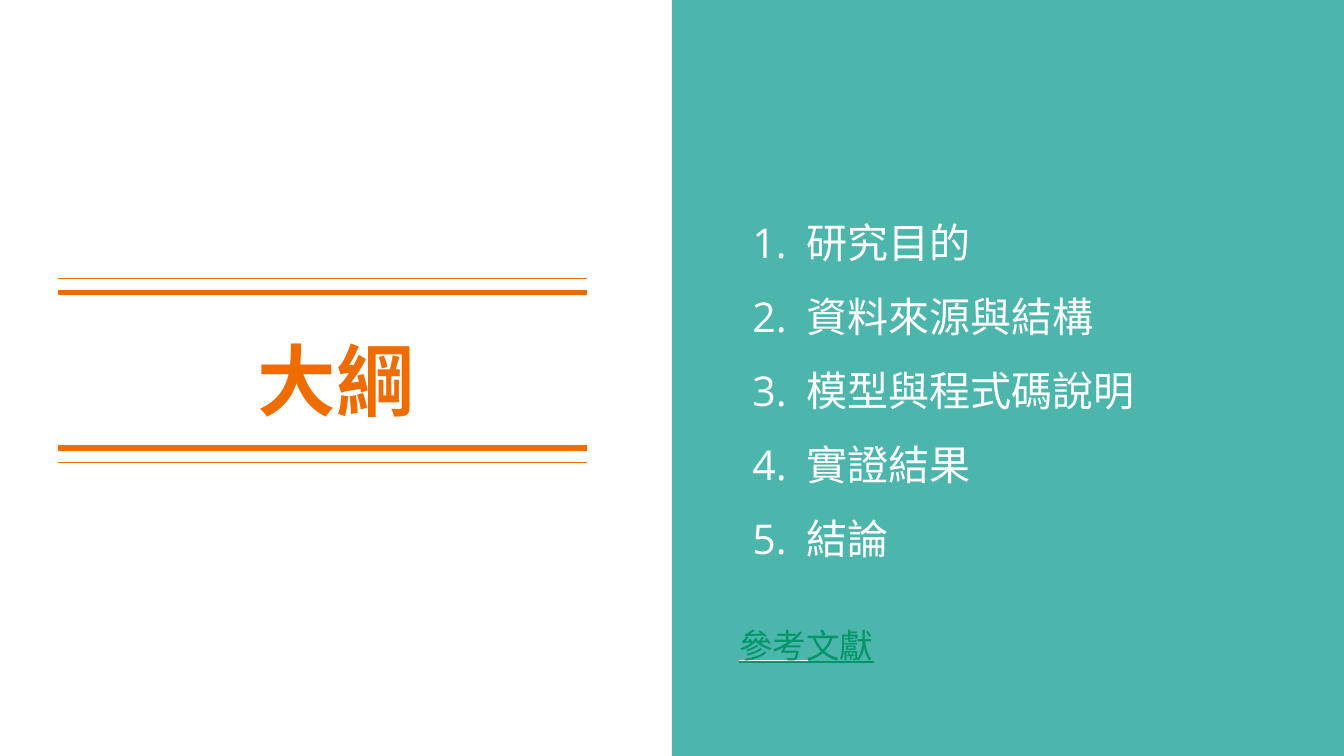
from dataclasses import dataclass

from lxml import etree
from pptx import Presentation
from pptx.dml.color import RGBColor
from pptx.enum import shapes, text
from pptx.oxml import ns
from pptx.util import Cm, Pt

COLORS = {"panel": "4DB6AC", "accent": "EF6C00", "light": "FFFFFF", "link": "009668"}
TOPICS = ["研究目的", "資料來源與結構", "模型與程式碼說明", "實證結果", "結論"]
INSET = 0.25


@dataclass
class Box:
    left: float
    top: float
    width: float
    height: float

    def lengths(self) -> list:
        return [Cm(v) for v in (self.left, self.top, self.width, self.height)]


@dataclass
class Rule:
    left: float
    right: float
    y: float
    color: str
    weight: float


def rgb(name: str) -> RGBColor:
    return RGBColor.from_string(COLORS[name])


def add_rule(slide, rule: Rule) -> None:
    sp = slide.shapes.add_connector(shapes.MSO_CONNECTOR.STRAIGHT, Cm(rule.left),
                                    Cm(rule.y), Cm(rule.right), Cm(rule.y))
    sp.line.color.rgb = rgb(rule.color)
    sp.line.width = Pt(rule.weight)
    etree.SubElement(sp._element.spPr, ns.qn("a:effectLst"))


def number_paragraph(p, color: str) -> None:
    pPr = p._p.get_or_add_pPr()
    pPr.set("marL", str(Cm(1.27)))
    pPr.set("indent", str(-Cm(1.02)))
    clr = etree.SubElement(pPr, ns.qn("a:buClr"))
    etree.SubElement(clr, ns.qn("a:srgbClr"), val=COLORS[color])
    etree.SubElement(pPr, ns.qn("a:buFont"), typeface="Open Sans")
    etree.SubElement(pPr, ns.qn("a:buAutoNum"), type="arabicPeriod")


def write(tf, lines: list[str], *, size: float, color: str, font: str = "Open Sans",
          bold: bool = False, underline: bool = False, numbered: bool = False,
          align=text.PP_ALIGN.LEFT, anchor=text.MSO_ANCHOR.TOP,
          spacing: float = 1.0, bottom: float = INSET) -> None:
    tf.word_wrap = True
    tf.auto_size = text.MSO_AUTO_SIZE.NONE
    tf.vertical_anchor = anchor
    tf.margin_left = tf.margin_right = tf.margin_top = Cm(INSET)
    tf.margin_bottom = Cm(bottom)
    for i, line in enumerate(lines):
        p = tf.add_paragraph() if i else tf.paragraphs[0]
        p.alignment = align
        p.line_spacing = spacing
        p.space_before = p.space_after = Pt(0)
        if numbered:
            number_paragraph(p, color)
        r = p.add_run()
        r.text = line
        r.font.name, r.font.size = font, Pt(size)
        r.font.bold, r.font.underline = bold, underline
        r.font.color.rgb = rgb(color)
        latin = r._r.rPr.find(ns.qn("a:latin"))
        latin.addnext(latin.makeelement(ns.qn("a:ea"), {"typeface": font}))


def add_text(slide, box: Box, lines: list[str], **fmt) -> None:
    write(slide.shapes.add_textbox(*box.lengths()).text_frame, lines, **fmt)


def main() -> None:
    prs = Presentation()
    prs.slide_width, prs.slide_height = Cm(25.4), Cm(14.29)
    slide = prs.slides.add_slide(prs.slide_layouts[5])

    # Right half panel with its short tick
    panel = slide.shapes.add_shape(shapes.MSO_SHAPE.RECTANGLE,
                                   *Box(12.7, 0, 12.7, 14.29).lengths())
    panel.shadow.inherit = False
    panel.fill.solid()
    panel.fill.fore_color.rgb = rgb("panel")
    panel.line.fill.background()
    add_rule(slide, Rule(13.97, 15.27, 12.5, "light", 1.5))

    # Title, raised by its bottom margin
    title = slide.shapes.title
    title.left, title.top, title.width, title.height = Box(0.74, 5.38, 11.23, 4.65).lengths()
    write(title.text_frame, ["大綱"], size=42, color="accent", font="Roboto Condensed",
          bold=True, align=text.PP_ALIGN.CENTER, anchor=text.MSO_ANCHOR.BOTTOM, bottom=1.98)

    # Double rules mirrored above and below the title
    for side in (-1, 1):
        for offset, weight in ((1.47, 3), (1.74, 0.75)):
            add_rule(slide, Rule(1.09, 11.1, 7 + side * offset, "accent", weight))

    # Numbered topics and the references line
    add_text(slide, Box(13.72, 2.01, 10.67, 10.26), TOPICS, size=22, color="light",
             numbered=True, spacing=1.5, anchor=text.MSO_ANCHOR.MIDDLE)
    add_text(slide, Box(13.72, 11.56, 4.22, 1.27), ["參考文獻"], size=18, color="link",
             underline=True)

    prs.save("out.pptx")


if __name__ == "__main__":
    main()
